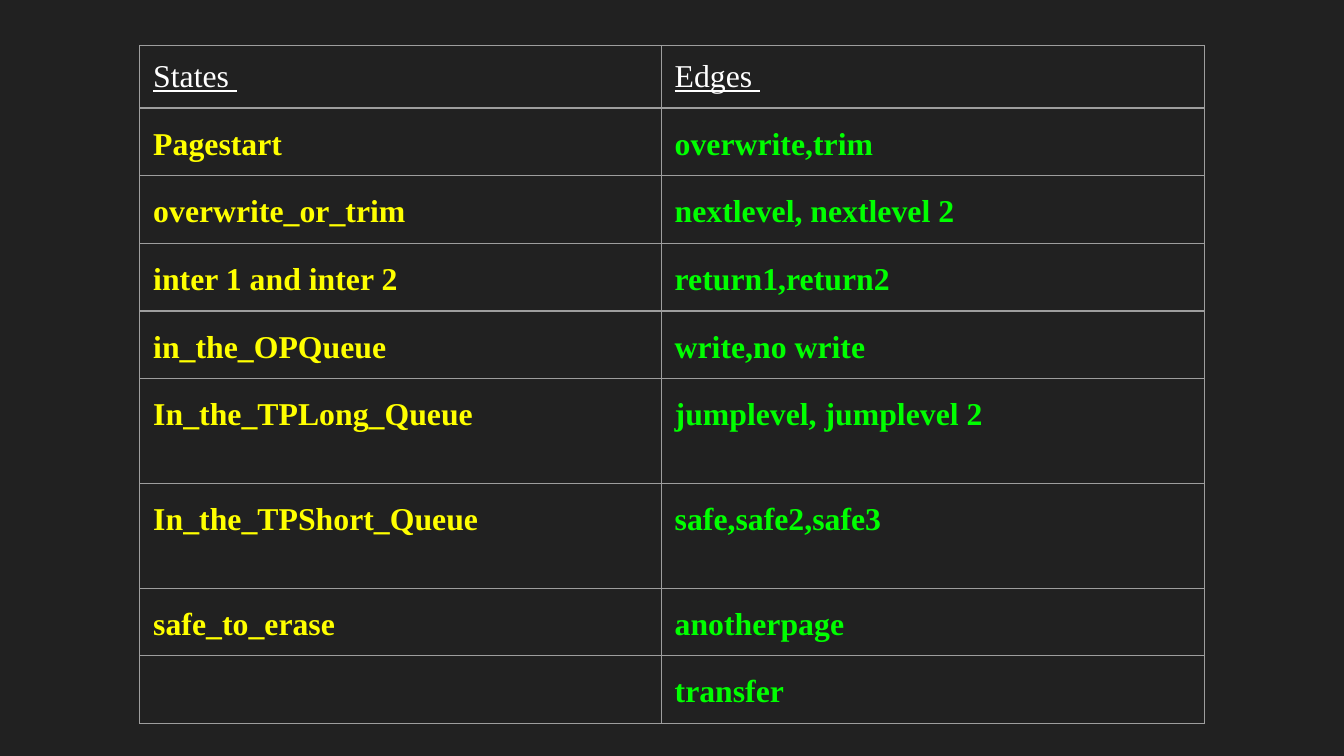
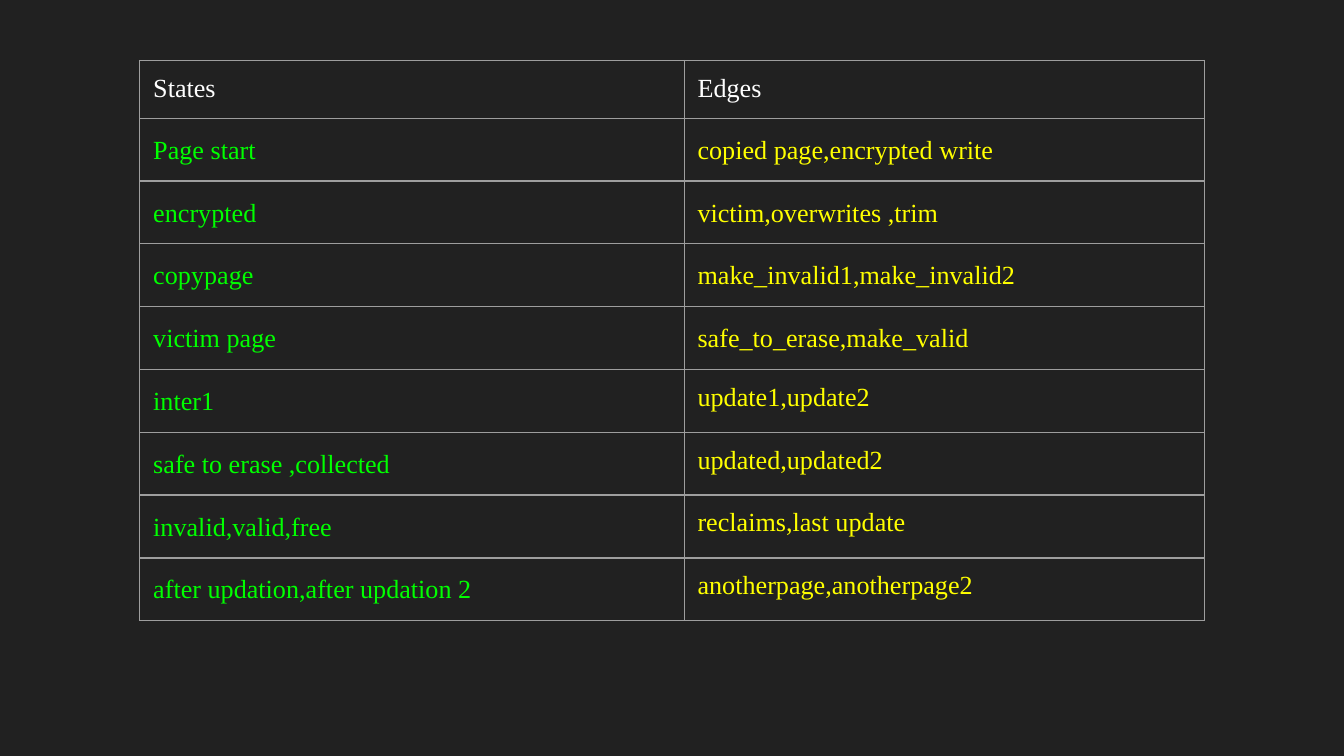
from lxml.etree import SubElement
from pptx import Presentation
from pptx.dml.color import RGBColor
from pptx.oxml.ns import qn
from pptx.util import Inches, Pt

# Shared look
SLIDE_WIDTH = 10
SLIDE_HEIGHT = SLIDE_WIDTH * 9 / 16
BACKGROUND = RGBColor(0x21, 0x21, 0x21)
BORDER = RGBColor(0x9E, 0x9E, 0x9E)
WHITE = RGBColor(0xFF, 0xFF, 0xFF)
YELLOW = RGBColor(0xFF, 0xFF, 0x00)
GREEN = RGBColor(0x00, 0xFF, 0x00)
FONT_NAME = "Times New Roman"
TABLE_LEFT = 1.04
CELL_MARGIN = Inches(0.1)
BODY_SPACING = 1.15
BLANK_LAYOUT = 6

QUEUE_ROWS = [
    ("States ", "Edges "),
    ("Pagestart", "overwrite,trim"),
    ("overwrite_or_trim", "nextlevel, nextlevel 2"),
    ("inter 1 and inter 2", "return1,return2"),
    ("in_the_OPQueue", "write,no write"),
    ("In_the_TPLong_Queue", "jumplevel, jumplevel 2"),
    ("In_the_TPShort_Queue", "safe,safe2,safe3"),
    ("safe_to_erase", "anotherpage"),
    ("", "transfer"),
]
ENCRYPTION_ROWS = [
    ("States", "Edges"),
    ("Page start", "copied page,encrypted write"),
    ("encrypted", "victim,overwrites ,trim"),
    ("copypage", "make_invalid1,make_invalid2"),
    ("victim page", "safe_to_erase,make_valid"),
    ("inter1", "update1,update2"),
    ("safe to erase ,collected", "updated,updated2"),
    ("invalid,valid,free", "reclaims,last update"),
    ("after updation,after updation 2", "anotherpage,anotherpage2"),
]


def set_borders(cell):
    """Draw a thin line on all four sides of a cell."""
    properties = cell._tc.get_or_add_tcPr()
    for side in ("a:lnL", "a:lnR", "a:lnT", "a:lnB"):
        line = SubElement(properties, qn(side), w=str(Pt(0.75)))
        fill = SubElement(line, qn("a:solidFill"))
        SubElement(fill, qn("a:srgbClr"), val=str(BORDER))


def write_cell(cell, text, size, color, bold=False, underline=False, spacing=None):
    set_borders(cell)
    cell.fill.background()
    cell.margin_left = cell.margin_right = CELL_MARGIN
    cell.margin_top = cell.margin_bottom = CELL_MARGIN
    paragraph = cell.text_frame.paragraphs[0]
    paragraph.text = text
    paragraph.line_spacing = spacing
    for run in paragraph.runs:
        run.font.name = FONT_NAME
        run.font.size = Pt(size)
        run.font.color.rgb = color
        run.font.bold = bold
        run.font.underline = underline


def add_state_table(slide, top, rows, widths, heights, size, colors,
                    bold_body=False, underline_header=False, tight_edges_from=None):
    """Add a table of states and edges; edges from one row on may be single spaced."""
    frame = slide.shapes.add_table(
        len(rows), len(widths), Inches(TABLE_LEFT), Inches(top),
        Inches(sum(widths)), Inches(sum(heights)))
    table = frame.table
    table.first_row = table.horz_banding = False
    for column, width in zip(table.columns, widths):
        column.width = Inches(width)
    for row, height in zip(table.rows, heights):
        row.height = Inches(height)

    # Header row
    for column_index, text in enumerate(rows[0]):
        write_cell(table.cell(0, column_index), text, size, WHITE,
                   underline=underline_header)

    # Body rows
    for row_index, texts in enumerate(rows[1:], start=1):
        for column_index, text in enumerate(texts):
            tight = (tight_edges_from is not None and column_index == 1
                     and row_index >= tight_edges_from)
            write_cell(table.cell(row_index, column_index), text, size,
                       colors[column_index], bold=bold_body,
                       spacing=None if tight else BODY_SPACING)


def add_queue_slide(presentation):
    slide = presentation.slides.add_slide(presentation.slide_layouts[BLANK_LAYOUT])
    heights = [0.46] + [0.5] * 4 + [0.78] * 2 + [0.5] * 2
    add_state_table(slide, 0.34, QUEUE_ROWS, [3.88, 4.04], heights, 17,
                    (YELLOW, GREEN), bold_body=True, underline_header=True)


def add_encryption_slide(presentation):
    slide = presentation.slides.add_slide(presentation.slide_layouts[BLANK_LAYOUT])
    body_height = 3.74
    heights = [0.43] + [body_height / 8] * 8
    add_state_table(slide, 0.45, ENCRYPTION_ROWS, [4.05, 3.87], heights, 14,
                    (GREEN, YELLOW), tight_edges_from=5)


def main():
    presentation = Presentation()
    presentation.slide_width = Inches(SLIDE_WIDTH)
    presentation.slide_height = Inches(SLIDE_HEIGHT)
    background = presentation.slide_master.background.fill
    background.solid()
    background.fore_color.rgb = BACKGROUND
    add_queue_slide(presentation)
    add_encryption_slide(presentation)
    presentation.save("out.pptx")


if __name__ == "__main__":
    main()
